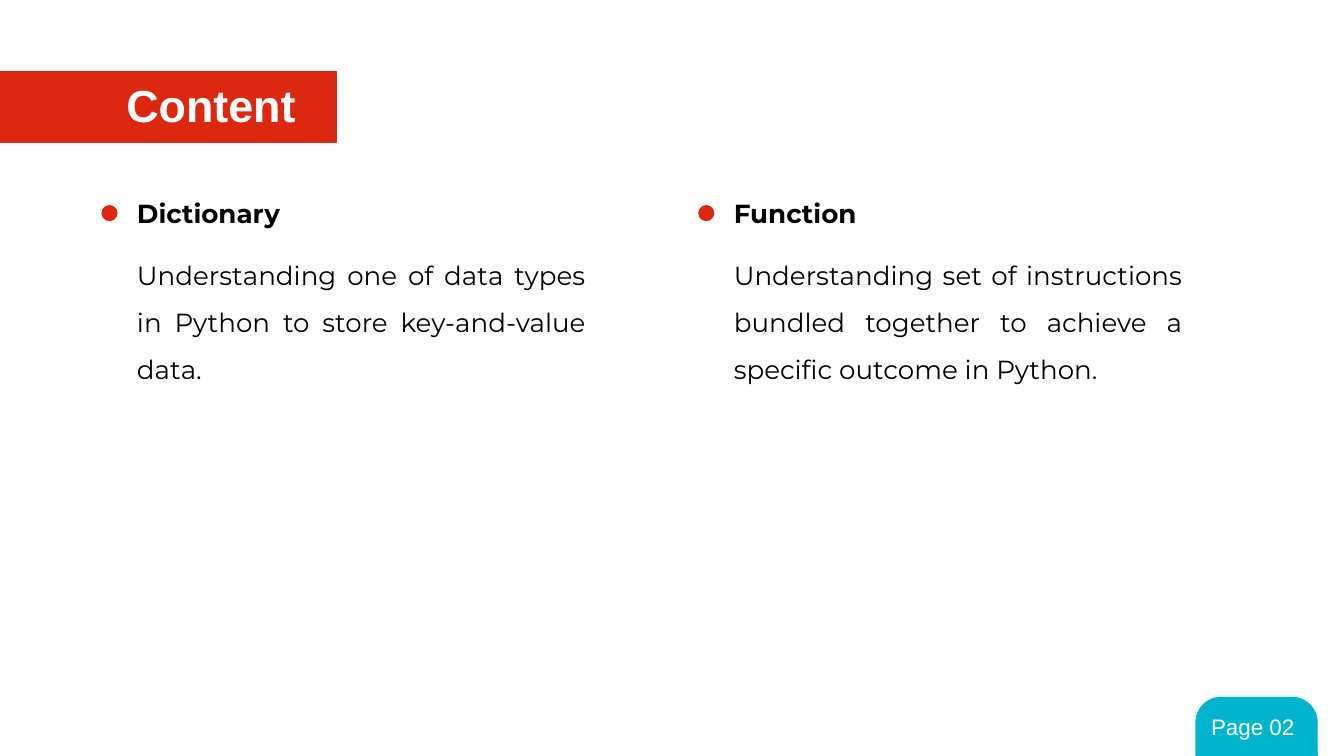
import pptx
import pptx.dml.color
import pptx.enum.shapes
import pptx.enum.text
import pptx.oxml
import pptx.oxml.ns
import pptx.util

Pt = pptx.util.Pt
ShapeType = pptx.enum.shapes.MSO_SHAPE
Alignment = pptx.enum.text.PP_ALIGN

RED = pptx.dml.color.RGBColor(0xDC, 0x28, 0x11)
TEAL = pptx.dml.color.RGBColor(0x00, 0xB4, 0xCE)
WHITE = pptx.dml.color.RGBColor(0xFF, 0xFF, 0xFF)
BLACK = pptx.dml.color.RGBColor(0x00, 0x00, 0x00)

TOPICS = [
    ("Dictionary", "Understanding one of data types in Python to store key-and-value data."),
    ("Function", "Understanding set of instructions bundled together to achieve a specific outcome in Python."),
]
COLUMN_LEFT = 54.7
COLUMN_STEP = 319.7


def write_text(shape, text, size, font="Montserrat", color=BLACK, bold=False,
               alignment=Alignment.LEFT, line_spacing=1.0):
    """Fill a text shape with one formatted paragraph without a bullet."""
    frame = shape.text_frame
    frame.word_wrap = True
    frame.auto_size = pptx.enum.text.MSO_AUTO_SIZE.SHAPE_TO_FIT_TEXT
    frame.vertical_anchor = pptx.enum.text.MSO_ANCHOR.TOP
    frame.margin_left = frame.margin_right = Pt(7.2)
    frame.margin_top = frame.margin_bottom = Pt(7.2)
    paragraph = frame.paragraphs[0]
    paragraph.alignment = alignment
    paragraph.line_spacing = line_spacing
    paragraph.space_before = paragraph.space_after = Pt(0)
    properties = paragraph._p.get_or_add_pPr()
    properties.set("marL", "0")
    properties.set("indent", "0")
    properties.append(pptx.oxml.parse_xml(f"<a:buNone {pptx.oxml.ns.nsdecls('a')}/>"))
    run = paragraph.add_run()
    run.text = text
    run.font.size = Pt(size)
    run.font.name = font
    run.font.bold = bold
    run.font.color.rgb = color


def place(shape, left, top, width, height):
    """Move and size a shape, in points."""
    shape.left, shape.top = Pt(left), Pt(top)
    shape.width, shape.height = Pt(width), Pt(height)


def add_block(slide, shape_type, left, top, width, height, color):
    """Add a flat shape with fill and outline in one colour."""
    shape = slide.shapes.add_shape(shape_type, Pt(left), Pt(top), Pt(width), Pt(height))
    shape.shadow.inherit = False
    shape.fill.solid()
    shape.fill.fore_color.rgb = color
    shape.line.color.rgb = color
    shape.line.width = Pt(0.75)
    return shape


def build_title(slide, left, top, width, height):
    """Place the slide title on a red band."""
    band = add_block(slide, ShapeType.RECTANGLE, left, top, width, height, RED)
    title = slide.shapes.title
    title.element.addprevious(band.element)
    place(title, left + 62.7, top - 3.6, 122.4, 43.9)
    write_text(title, "Content", 24, font="Arial", color=WHITE, bold=True)


def build_topic(slide, heading, body, left, top, heading_text, body_text):
    """Place a bullet dot, a heading and its description."""
    add_block(slide, ShapeType.OVAL, left, top + 11.6, 7.9, 7.9, RED)
    place(heading, left + 11.5, top, 102.2, 31.7)
    write_text(heading, heading_text, 14, bold=True)
    place(body, left + 11.5, top + 24.5, 254.9, 82.1)
    write_text(body, body_text, 14, alignment=Alignment.JUSTIFY, line_spacing=1.5)


def build_page_tab(slide, left, top, width, height):
    """Place the page number on a tab with rounded top corners."""
    tab = add_block(slide, ShapeType.ROUND_2_SAME_RECTANGLE, left, top, width, height, TEAL)
    tab.adjustments[0] = 0.43
    tab.adjustments[1] = 0
    label = slide.shapes.add_textbox(Pt(left + 0.9), Pt(top + 1.4), Pt(76.3), Pt(28.8))
    write_text(label, "Page 02", 12, font="Arial", color=WHITE)


def main():
    """Build and save the presentation."""
    presentation = pptx.Presentation()
    presentation.slide_width, presentation.slide_height = Pt(720), Pt(405)
    slide = presentation.slides.add_slide(presentation.slide_layouts.get_by_name("Comparison"))
    build_title(slide, -2.2, 38.2, 182.2, 38.2)
    placeholders = list(slide.placeholders)[1:]
    for index, (heading_text, body_text) in enumerate(TOPICS):
        heading, body = placeholders[2 * index:2 * index + 2]
        build_topic(slide, heading, body, COLUMN_LEFT + index * COLUMN_STEP, 98.6,
                    heading_text, body_text)
    build_page_tab(slide, 640.8, 373.7, 64.8, 31)
    presentation.save("out.pptx")


if __name__ == "__main__":
    main()
